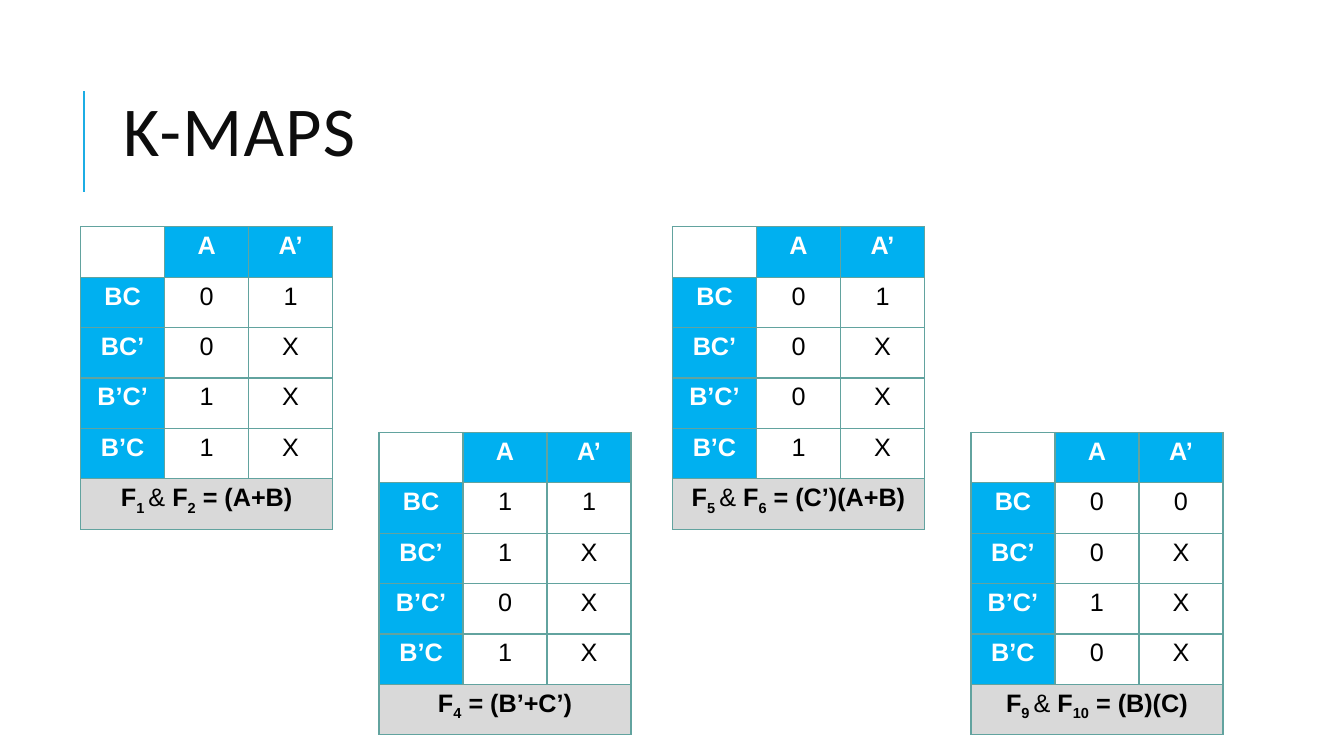
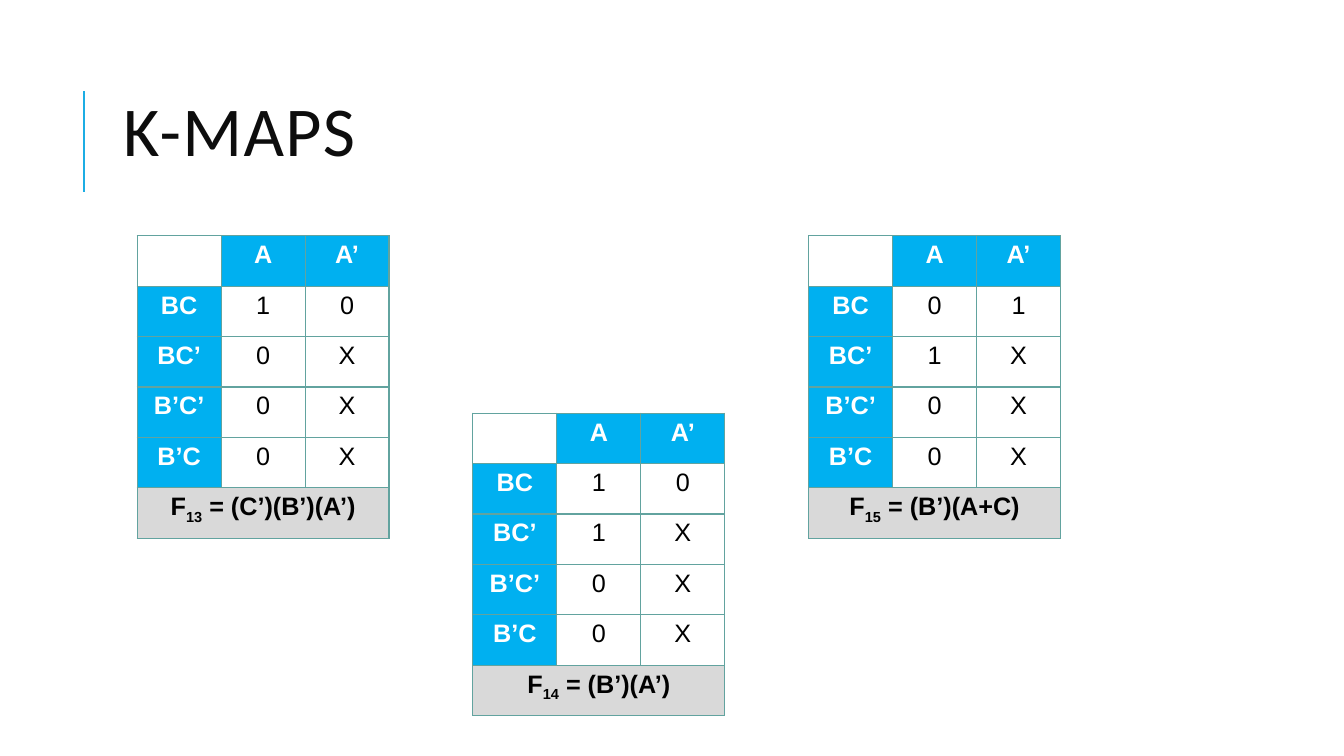
"""Build two slides of three-variable Karnaugh maps with their simplified functions."""
import lxml.etree
import pptx
import pptx.dml.color
import pptx.enum.shapes
import pptx.enum.text
import pptx.oxml
import pptx.oxml.ns
import pptx.util

Inches, Pt = pptx.util.Inches, pptx.util.Pt
qn = pptx.oxml.ns.qn
rgb = pptx.dml.color.RGBColor.from_string

COLORS = {
    "accent": "1CADE4",
    "title": "0D0D0D",
    "label": "00B0F0",
    "formula": "D9D9D9",
    "border": "62A39F",
    "white": "FFFFFF",
    "black": "000000",
}
MAP_WIDTH, MAP_HEIGHT = 2.5, 3
COLUMN_LABELS = ["", "A", "A’"]
ROW_LABELS = ["BC", "BC’", "B’C’", "B’C"]

# Each map: left, top, cell values by row, formula pieces split at "|"
SLIDES = [
    [
        (0.8, 2.25, ["01", "0X", "1X", "1X"], "F|1 |&| F|2| = (A+B)"),
        (3.76, 4.29, ["11", "1X", "0X", "1X"], "F|4| = (B’+C’)"),
        (6.67, 2.25, ["01", "0X", "0X", "1X"], "F|5 |&| F|6| = (C’)(A+B)"),
        (9.63, 4.29, ["00", "0X", "1X", "0X"], "F|9 |&| F|10| = (B)(C)"),
    ],
    [
        (1.36, 2.34, ["10", "0X", "0X", "0X"], "F|13| = (C’)(B’)(A’)"),
        (4.69, 4.1, ["10", "1X", "0X", "0X"], "F|14| = (B’)(A’)"),
        (8.02, 2.34, ["01", "1X", "0X", "0X"], "F|15| = (B’)(A+C)"),
    ],
]


def fill_cell(cell, pieces, fill, color, bold):
    """Border and fill a cell, then write its pieces; numbers among several are subscripts."""
    properties = cell._tc.get_or_add_tcPr()
    for side in ("lnL", "lnR", "lnT", "lnB"):
        properties.append(pptx.oxml.parse_xml(
            f'<a:{side} {pptx.oxml.ns.nsdecls("a")} w="{Pt(1)}"><a:solidFill>'
            f'<a:srgbClr val="{COLORS["border"]}"/></a:solidFill></a:{side}>'))
    cell.fill.solid()
    cell.fill.fore_color.rgb = rgb(COLORS[fill])
    paragraph = cell.text_frame.paragraphs[0]
    paragraph.alignment = pptx.enum.text.PP_ALIGN.CENTER
    for piece in filter(None, pieces):
        run = paragraph.add_run()
        run.text = piece
        run.font.name = "Arial"
        run.font.size = Pt(18)
        run.font.bold = bold and piece != "&"
        run.font.color.rgb = rgb(COLORS[color])
        if len(pieces) > 1 and piece.strip().isdigit():
            run.font._element.set("baseline", "-25000")


deck = pptx.Presentation()
deck.slide_width, deck.slide_height = Inches(13.33), Inches(7.5)

for maps in SLIDES:
    slide = deck.slides.add_slide(deck.slide_layouts[5])

    accent = slide.shapes.add_connector(
        pptx.enum.shapes.MSO_CONNECTOR.STRAIGHT,
        Inches(0.83), Inches(1.9), Inches(0.83), Inches(0.9))
    accent.line.color.rgb = rgb(COLORS["accent"])
    accent.line.width = Pt(1.5)
    lxml.etree.SubElement(accent._element.spPr, qn("a:effectLst"))

    title = slide.shapes.title
    title.left, title.top = Inches(1.12), Inches(0.88)
    title.width, title.height = Inches(10.63), Inches(0.95)
    title.text_frame.text = "K-MAPS"
    title.text_frame.auto_size = pptx.enum.text.MSO_AUTO_SIZE.NONE
    title.text_frame.vertical_anchor = pptx.enum.text.MSO_ANCHOR.MIDDLE
    heading = title.text_frame.paragraphs[0]
    heading.alignment = pptx.enum.text.PP_ALIGN.LEFT
    heading.line_spacing = 0.8
    heading_font = heading.runs[0].font
    heading_font.name = "Calibri"
    heading_font.size = Pt(50)
    heading_font.color.rgb = rgb(COLORS["title"])
    heading_font._element.set("spc", "100")

    for left, top, values, formula in maps:
        kmap = slide.shapes.add_table(
            len(values) + 2, len(COLUMN_LABELS), Inches(left), Inches(top),
            Inches(MAP_WIDTH), Inches(MAP_HEIGHT)).table
        kmap.first_row = kmap.horz_banding = False
        grid = [COLUMN_LABELS]
        grid += [[label, *row] for label, row in zip(ROW_LABELS, values)]
        for r, row in enumerate(grid):
            for c, text in enumerate(row):
                is_label = (r == 0) != (c == 0)
                fill_cell(kmap.cell(r, c), [text],
                          "label" if is_label else "white",
                          "white" if is_label else "black", is_label)

        last = len(grid)
        kmap.cell(last, 0).merge(kmap.cell(last, 2))
        for c in range(len(COLUMN_LABELS)):
            pieces = formula.split("|") if c == 0 else []
            fill_cell(kmap.cell(last, c), pieces, "formula", "black", True)

deck.save("out.pptx")
